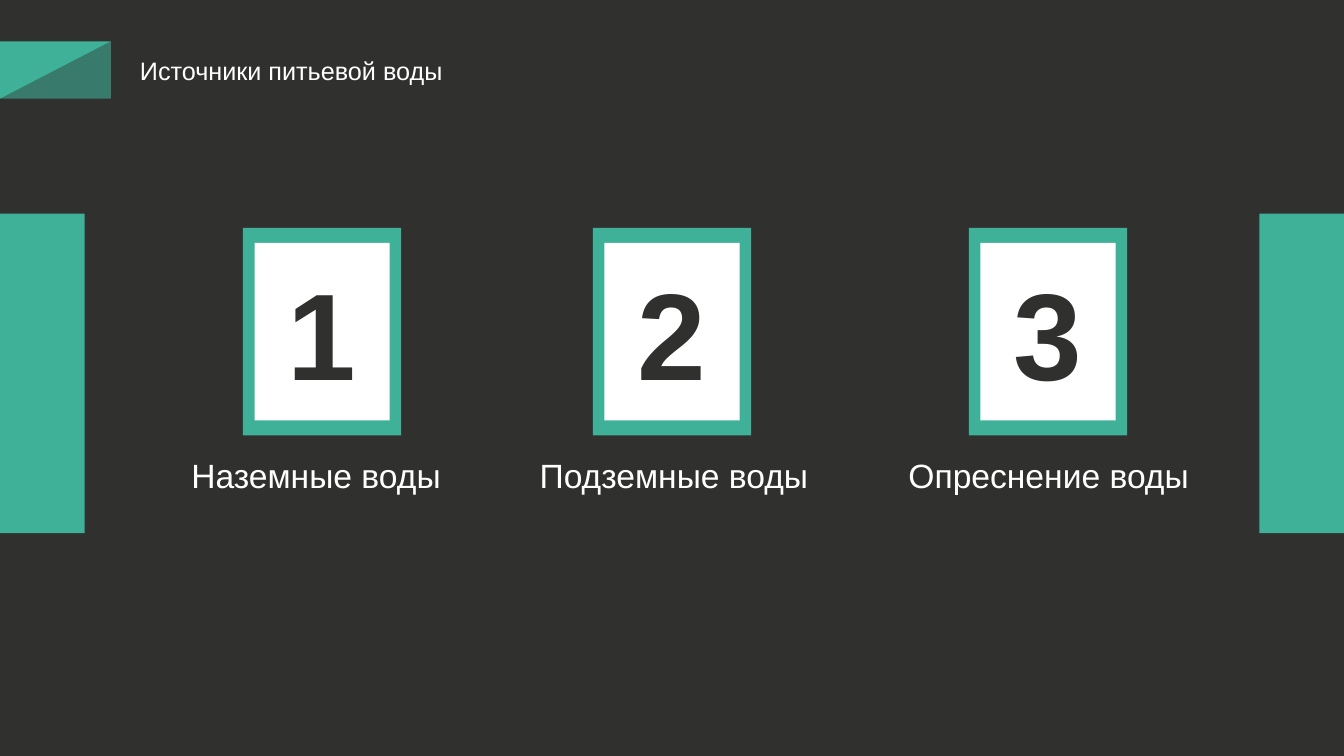
"""Build a slide that shows three sources of drinking water."""
from dataclasses import dataclass
import lxml.etree
import pptx
import pptx.dml.color
import pptx.enum.shapes
import pptx.enum.text
import pptx.util

RGB = pptx.dml.color.RGBColor.from_string
KIND = pptx.enum.shapes.MSO_SHAPE
ALIGN = pptx.enum.text.PP_ALIGN
MIDDLE = pptx.enum.text.MSO_ANCHOR.MIDDLE


@dataclass(frozen=True)
class Theme:
    """Hold colours, font and type sizes."""
    dark: str = "30302F"
    green: str = "3EB198"
    white: str = "FFFFFF"
    font: str = "Arial"
    title: int = 18
    label: int = 24
    digit: int = 88


@dataclass(frozen=True)
class Box:
    """Give a place in percent of the slide's width and height."""
    left: float
    top: float
    width: float
    height: float

    def inset(self, across: float, down: float) -> "Box":
        """Return the box shrunk on every side."""
        return Box(self.left + across, self.top + down,
                   self.width - 2 * across, self.height - 2 * down)


@dataclass(frozen=True)
class Card:
    """Describe one numbered source and its label."""
    left: float
    label: str
    start: float
    width: float
    align: ALIGN = ALIGN.CENTER


THEME = Theme()
WIDE, HIGH = pptx.util.Inches(13.33), pptx.util.Inches(7.5)
FLAG = Box(0, 5.47, 8.25, 7.6)
CARDS = (
    Card(18.08, "Наземные воды", 13.5, 21, ALIGN.LEFT),
    Card(44.11, "Подземные воды", 38.93, 22.43),
    Card(72.09, "Опреснение воды", 66.32, 23.41),
)


def place(box: Box) -> tuple[int, int, int, int]:
    """Turn percent into slide units."""
    return (round(WIDE * box.left / 100), round(HIGH * box.top / 100),
            round(WIDE * box.width / 100), round(HIGH * box.height / 100))


def block(slide, box: Box, fill: str, kind=KIND.RECTANGLE):
    """Draw a flat filled shape with no outline."""
    shape = slide.shapes.add_shape(kind, *place(box))
    shape.shadow.inherit = False
    shape.fill.solid()
    shape.fill.fore_color.rgb = RGB(fill)
    shape.line.fill.background()
    return shape


def write(shape, text: str, size: int, color: str, align: ALIGN, bold: bool = False) -> None:
    """Set one styled line of text in a shape."""
    line = shape.text_frame.paragraphs[0]
    line.text = text
    line.alignment = align
    line.font.name = THEME.font
    line.font.size = pptx.util.Pt(size)
    line.font.bold = bold
    line.font.color.rgb = RGB(color)


def label(slide, box: Box, text: str, size: int, align: ALIGN) -> None:
    """Add an unwrapped white text box."""
    shape = slide.shapes.add_textbox(*place(box))
    shape.text_frame.word_wrap = False
    write(shape, text, size, THEME.white, align)


def header(slide) -> None:
    """Draw the two-tone flag and the title."""
    block(slide, FLAG, THEME.green)
    shade = block(slide, FLAG, THEME.dark, KIND.RIGHT_TRIANGLE)
    shade._element.spPr.xfrm.set("flipH", "1")
    color = shade.fill._xPr.find(".//" + pptx.oxml.ns.qn("a:srgbClr"))
    lxml.etree.SubElement(color, pptx.oxml.ns.qn("a:alpha"), val="42000")
    label(slide, Box(9.68, 6.67, 24, 5.33), "Источники питьевой воды",
          THEME.title, ALIGN.LEFT)


def draw(slide, number: int, card: Card) -> None:
    """Draw a framed number above its label."""
    frame = Box(card.left, 30.13, 11.78, 27.47)
    block(slide, frame, THEME.green)
    face = block(slide, frame.inset(0.86, 2), THEME.white)
    face.text_frame.vertical_anchor = MIDDLE
    write(face, str(number), THEME.digit, THEME.dark, ALIGN.CENTER, True)
    label(slide, Box(card.start, 59.47, card.width, 13.6), card.label,
          THEME.label, card.align)


def main() -> None:
    """Build and save the slide."""
    deck = pptx.Presentation()
    deck.slide_width, deck.slide_height = WIDE, HIGH
    slide = deck.slides.add_slide(deck.slide_layouts[6])
    slide.background.fill.solid()
    slide.background.fill.fore_color.rgb = RGB(THEME.dark)
    side = 6.3
    for left in (0, 100 - side):
        block(slide, Box(left, 28.27, side, 42.27), THEME.green)
    for number, card in enumerate(CARDS, 1):
        draw(slide, number, card)
    header(slide)
    deck.save("out.pptx")


if __name__ == "__main__":
    main()
